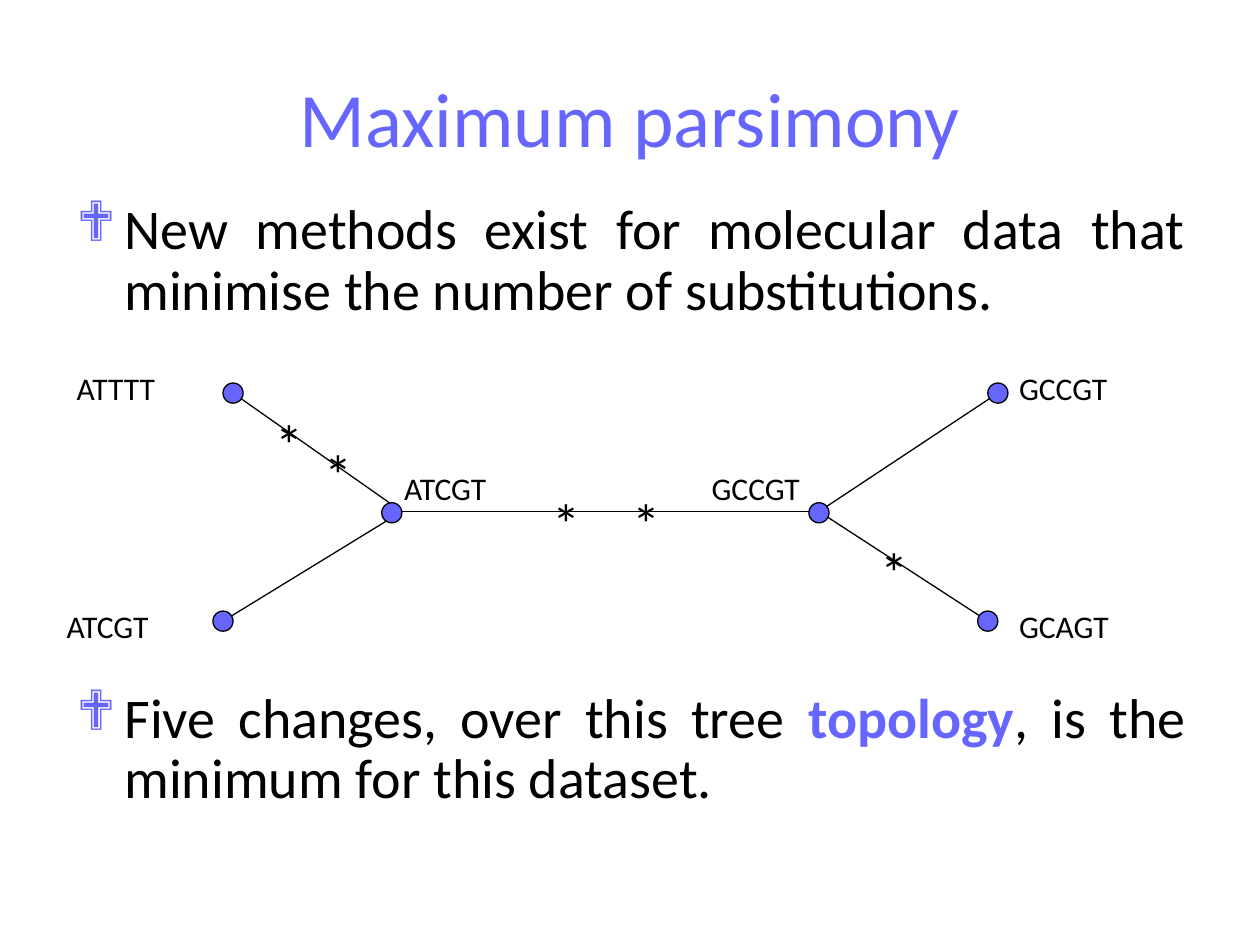
from lxml import etree
from pptx import Presentation, util as u
from pptx.dml.color import RGBColor
from pptx.enum import shapes, text
from pptx.oxml.ns import qn

FONT = "Calibri"
COLORS = {"accent": "6666FF", "ink": "000000"}

TITLE = "Maximum parsimony"
# Each bullet: space before in points, then (words, format) pieces
BULLETS = [
    (6, [("New methods exist for molecular data that minimise the number of substitutions.", {})]),
    (210, [("Five changes, over this tree ", {}),
           ("topology", {"color": "accent", "bold": True}),
           (", is the minimum for this dataset.", {})]),
]

WIDTH, HEIGHT = 10, 7.5
NODE = 0.16
INDENT = 0.38
# Node centres, and the points where branches meet at the two inner nodes
NODES = {
    "top left": (1.85, 3.12), "bottom left": (1.77, 4.93),
    "top right": (7.92, 3.12), "bottom right": (7.84, 4.93),
    "inner left": (3.11, 4.07), "inner right": (6.5, 4.07),
}
JOINTS = {"inner left": (3.19, 4.06), "inner right": (6.5, 4.06)}
BRANCHES = [
    ("inner left", "inner right"),
    ("inner left", "top left"), ("inner left", "bottom left"),
    ("inner right", "top right"), ("inner right", "bottom right"),
]
# Sequence, left, top, width
SEQUENCES = [
    ("ATTTT", 0.51, 2.88, 0.99), ("ATCGT", 0.43, 4.77, 1.06),
    ("ATCGT", 3.11, 3.67, 1.06), ("GCCGT", 5.55, 3.67, 1.1),
    ("GCCGT", 7.99, 2.88, 1.1), ("GCAGT", 7.99, 4.77, 1.1),
]
# Left and top of each substitution mark
CHANGES = [(2.09, 3.2), (2.48, 3.44), (4.29, 3.83), (4.92, 3.83), (6.89, 4.22)]


def rgb(name):
    return RGBColor.from_string(COLORS[name])


def write(paragraph, words, size=18, color="ink", bold=False):
    run = paragraph.add_run()
    run.text = words
    run.font.name = FONT
    run.font.size = u.Pt(size)
    run.font.bold = bold
    run.font.color.rgb = rgb(color)


def add_frame(slide, left, top, width, height, wrap=False):
    box = slide.shapes.add_textbox(*map(u.Inches, (left, top, width, height)))
    box.text_frame.word_wrap = wrap
    return box.text_frame


def add_bullet(paragraph):
    props = paragraph._p.get_or_add_pPr()
    props.set("marL", str(u.Inches(INDENT)))
    props.set("indent", str(-u.Inches(INDENT)))
    color = etree.SubElement(props, qn("a:buClr"))
    etree.SubElement(color, qn("a:srgbClr"), val=COLORS["accent"])
    etree.SubElement(props, qn("a:buFont"), typeface="Wingdings")
    etree.SubElement(props, qn("a:buChar"), char="❖")


def add_bullets(slide):
    frame = add_frame(slide, 0.51, 1.55, 0.9 * WIDTH, 5.28, wrap=True)
    for i, (space, pieces) in enumerate(BULLETS):
        paragraph = frame.add_paragraph() if i else frame.paragraphs[0]
        paragraph.alignment = text.PP_ALIGN.JUSTIFY
        paragraph.line_spacing = 0.9
        paragraph.space_before = u.Pt(space)
        add_bullet(paragraph)
        for words, style in pieces:
            write(paragraph, words, size=32, **style)


def add_tree(slide):
    for ends in BRANCHES:
        points = [JOINTS.get(name, NODES[name]) for name in ends]
        branch = slide.shapes.add_connector(
            shapes.MSO_CONNECTOR.STRAIGHT, *(u.Inches(v) for point in points for v in point))
        branch.line.color.rgb = rgb("ink")
        branch.line.width = u.Pt(0.75)
        etree.SubElement(branch._element.spPr, qn("a:effectLst"))
    for x, y in NODES.values():
        node = slide.shapes.add_shape(
            shapes.MSO_SHAPE.OVAL,
            *map(u.Inches, (x - NODE / 2, y - NODE / 2, NODE, NODE)))
        node.shadow.inherit = False
        node.fill.solid()
        node.fill.fore_color.rgb = rgb("accent")
        node.line.color.rgb = rgb("ink")
        node.line.width = u.Pt(0.75)
    for sequence, left, top, width in SEQUENCES:
        write(add_frame(slide, left, top, width, 0.4).paragraphs[0], sequence)
    for left, top in CHANGES:
        write(add_frame(slide, left, top, 0.38, 0.63).paragraphs[0], "*", size=32)


def main():
    deck = Presentation()
    deck.slide_width, deck.slide_height = u.Inches(WIDTH), u.Inches(HEIGHT)
    slide = deck.slides.add_slide(deck.slide_layouts[5])
    title = slide.shapes.title
    title.left, title.top = u.Inches(0.05 * WIDTH), u.Inches(0.04 * HEIGHT)
    title.width, title.height = u.Inches(0.9 * WIDTH), u.Inches(1.25)
    title.text_frame.vertical_anchor = text.MSO_ANCHOR.MIDDLE
    heading = title.text_frame.paragraphs[0]
    heading.alignment = text.PP_ALIGN.CENTER
    write(heading, TITLE, size=44, color="accent")
    add_bullets(slide)
    add_tree(slide)
    deck.save("out.pptx")


if __name__ == "__main__":
    main()
